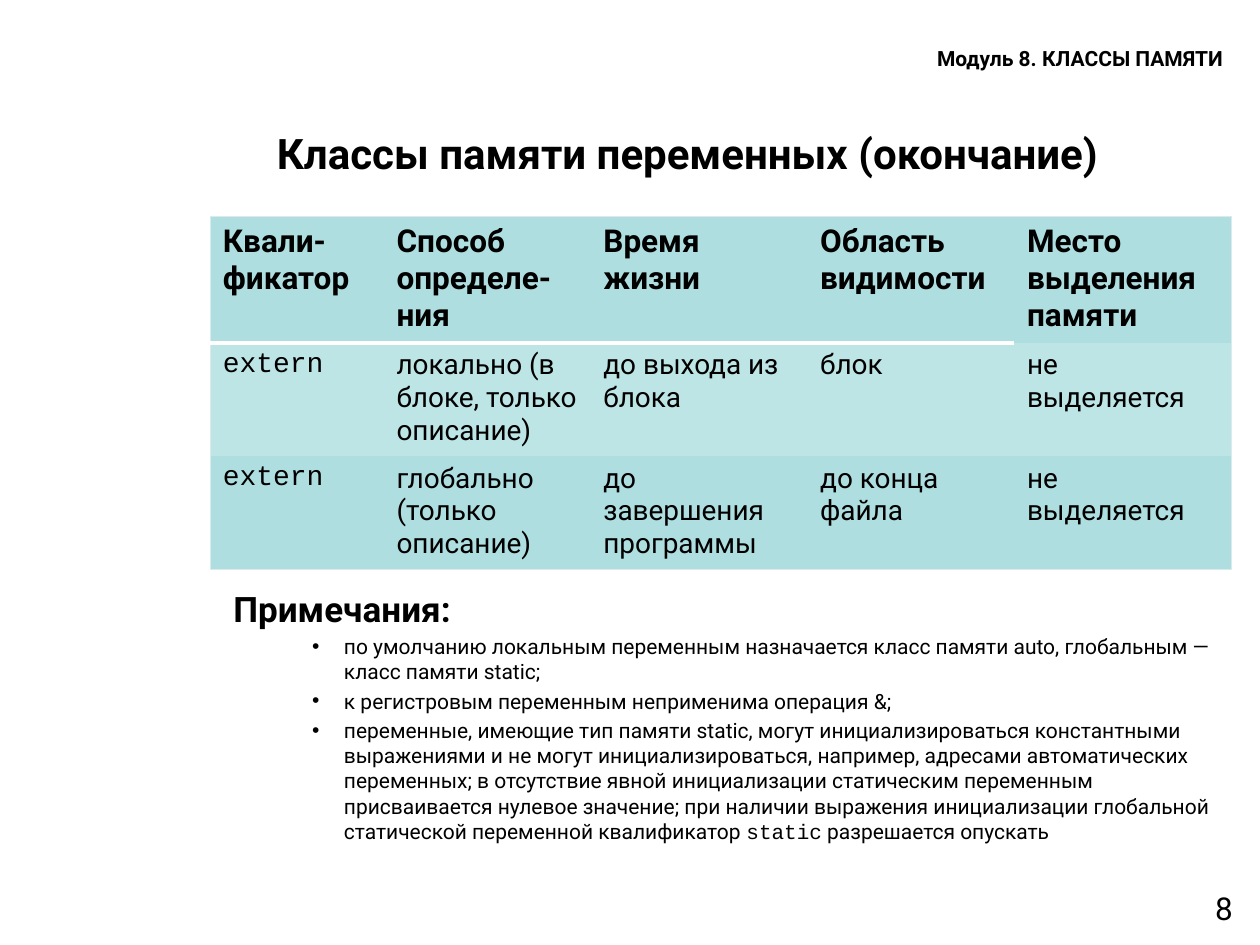
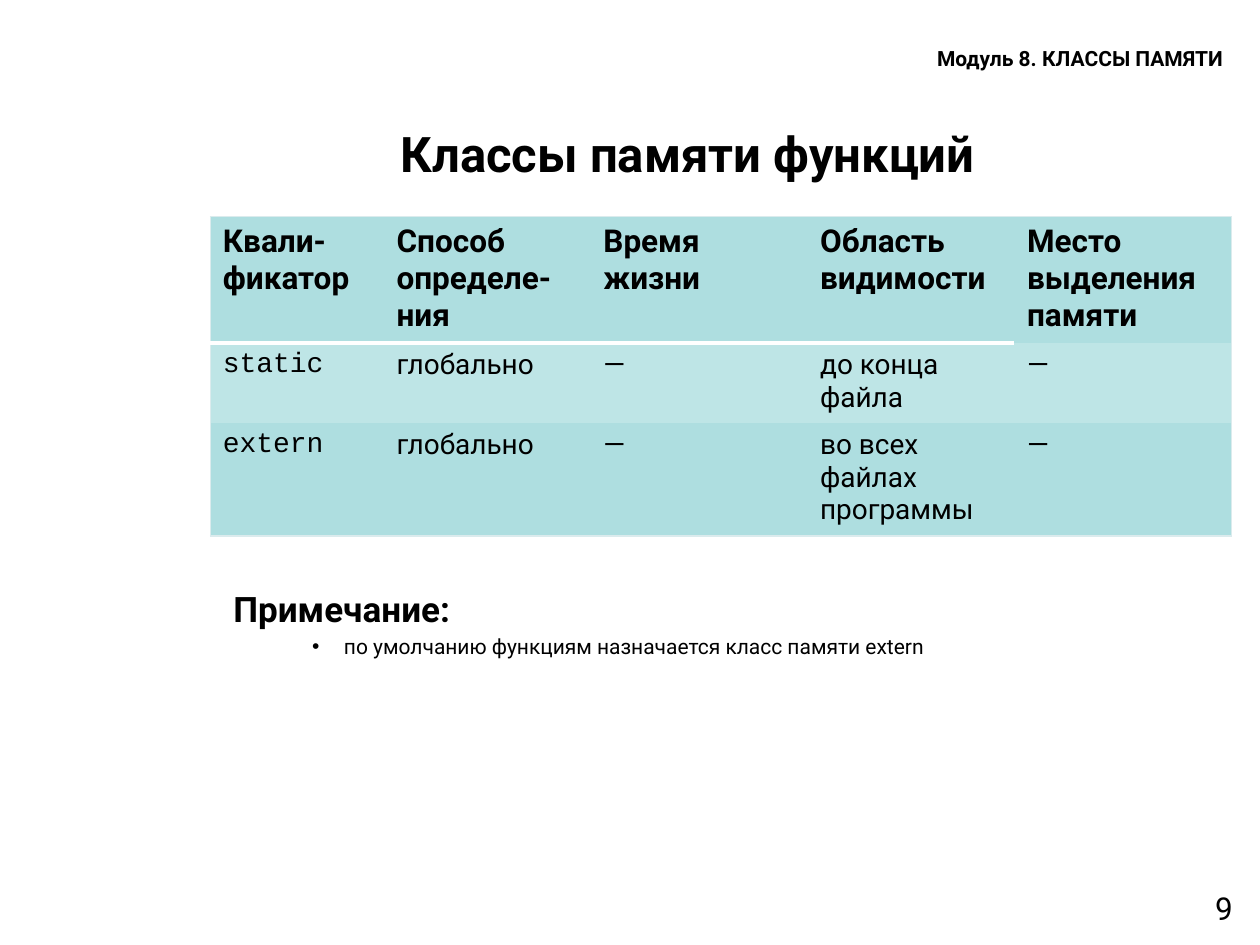
"""Builds two slides about storage classes of variables and functions."""
from lxml import etree
from pptx import Presentation
from pptx.dml.color import RGBColor
from pptx.enum.text import MSO_ANCHOR, MSO_AUTO_SIZE, PP_ALIGN
from pptx.oxml.ns import qn
from pptx.util import Cm, Pt

MIDDLE = MSO_ANCHOR.MIDDLE
NO_FIT = MSO_AUTO_SIZE.NONE
LEFT, CENTER, RIGHT = PP_ALIGN.LEFT, PP_ALIGN.CENTER, PP_ALIGN.RIGHT

FONT, CODE_FONT = "Roboto", "Courier New"
BLACK, WHITE, EDGE = "000000", "FFFFFF", "DBEBED"
TEAL, LIGHT_TEAL = "AEDEE0", "BEE5E6"
NO_STYLE = "{2D5ABB26-0587-4C30-8999-92F81FD0307C}"
KEYWORDS = ("extern", "static")
MODULE = "Модуль 8. КЛАССЫ ПАМЯТИ"
HEADER = ["Квали-фикатор", "Способ определе-ния", "Время жизни",
          "Область видимости", "Место выделения памяти"]
COLUMN_WIDTHS = [3.5, 4.17, 4.37, 4.17, 4.37]

SLIDES = [
    {
        "number": "8",
        "title": "Классы памяти переменных (окончание)",
        "title_size": 24,
        "rows": [
            ["extern", "локально (в блоке, только описание)",
             "до выхода из блока", "блок", "не выделяется"],
            ["extern", "глобально (только описание)",
             "до завершения программы", "до конца файла", "не выделяется"],
        ],
        "heights": [2.49, 2.22, 2.22],
        "heading": "Примечания:",
        "notes": [
            ["по умолчанию локальным переменным назначается класс памяти auto, "
             "глобальным — класс памяти static;"],
            ["к регистровым переменным неприменима операция &;"],
            ["переменные, имеющие тип памяти static, могут инициализироваться "
             "константными выражениями и не могут инициализироваться, например, "
             "адресами автоматических переменных; в отсутствие явной "
             "инициализации статическим переменным присваивается нулевое "
             "значение; при наличии выражения инициализации глобальной "
             "статической переменной квалификатор ",
             "static", " разрешается опускать"],
        ],
    },
    {
        "number": "9",
        "title": "Классы памяти функций",
        "title_size": 28,
        "rows": [
            ["static", "глобально", "—", "до конца файла", "—"],
            ["extern", "глобально", "—", "во всех файлах программы", "—"],
        ],
        "heights": [2.49, 1.57, 2.22],
        "heading": "Примечание:",
        "notes": [["по умолчанию функциям назначается класс памяти extern"]],
    },
]


def color(value):
    return RGBColor.from_string(value)


def format_paragraph(p, size, bold=False, align=LEFT):
    p.alignment = align
    for r in p.runs:
        r.font.size = Pt(size)
        r.font.bold = bold
        r.font.name = CODE_FONT if r.text in KEYWORDS else FONT
        r.font.color.rgb = color(BLACK)


prs = Presentation()
prs.slide_width, prs.slide_height = Cm(25.4), Cm(19.05)

for data in SLIDES:
    s = prs.slides.add_slide(prs.slide_layouts[1])

    number = s.shapes.add_textbox(Cm(19.18), Cm(17.8), Cm(5.92), Cm(1.32))
    module = s.shapes.add_textbox(Cm(18.64), Cm(0.79), Cm(6.76), Cm(0.76))
    labels = [(number, data["number"], 18, False, RIGHT),
              (module, MODULE, 12, True, LEFT)]
    for sp, text, size, bold, align in labels:
        tf = sp.text_frame
        tf.word_wrap = True
        tf.text = text
        format_paragraph(tf.paragraphs[0], size, bold, align)

    title = s.shapes.title
    title.left, title.top, title.width, title.height = Cm(3.38), Cm(2.34), Cm(20.96), Cm(1.47)
    tf = title.text_frame
    tf.text = data["title"]
    tf.auto_size = NO_FIT
    tf.vertical_anchor = MIDDLE
    format_paragraph(tf.paragraphs[0], data["title_size"], True, CENTER)

    body = s.placeholders[1]
    body.left, body.top, body.width, body.height = Cm(3.5), Cm(11.71), Cm(21.9), Cm(5.59)
    tf = body.text_frame
    tf.text = data["heading"]
    tf.auto_size = NO_FIT
    p = tf.paragraphs[0]
    format_paragraph(p, 20, True)
    pPr = p._p.get_or_add_pPr()
    pPr.set("marL", str(Cm(0.95)))
    pPr.set("indent", "0")
    etree.SubElement(pPr, qn("a:buNone"))
    for note in data["notes"]:
        p = tf.add_paragraph()
        p.level = 2
        for text in note:
            p.add_run().text = text
        format_paragraph(p, 12)
        pPr = p._p.get_or_add_pPr()
        pPr.set("marL", str(Cm(3.18)))
        pPr.set("indent", str(Cm(-0.64)))

    rows = [HEADER] + data["rows"]
    last_row, last_col = len(rows) - 1, len(HEADER) - 1
    frame = s.shapes.add_table(len(rows), len(HEADER), Cm(4.24), Cm(4.37),
                               Cm(sum(COLUMN_WIDTHS)), Cm(sum(data["heights"])))
    table = frame.table
    table.first_row = table.horz_banding = False
    table._tbl.tblPr.find(qn("a:tableStyleId")).text = NO_STYLE
    for column, width in zip(table.columns, COLUMN_WIDTHS):
        column.width = Cm(width)
    for row, height in zip(table.rows, data["heights"]):
        row.height = Cm(height)
    for i, row in enumerate(rows):
        for j, text in enumerate(row):
            cell = table.cell(i, j)
            cell.text_frame.text = text
            format_paragraph(cell.text_frame.paragraphs[0], 16 if i else 18, i == 0)
            borders = [("a:lnL", j == 0, EDGE, 0.75),
                       ("a:lnR", j == last_col, EDGE, 0.75),
                       ("a:lnT", i == 0, EDGE, 0.75),
                       ("a:lnB", i == last_row, EDGE, 0.75),
                       ("a:lnB", i == 0 and j < last_col, WHITE, 3)]
            tcPr = cell._tc.get_or_add_tcPr()
            for tag, shown, line_color, width in borders:
                if shown:
                    ln = etree.SubElement(tcPr, qn(tag), w=str(Pt(width)))
                    fill = etree.SubElement(ln, qn("a:solidFill"))
                    etree.SubElement(fill, qn("a:srgbClr"), val=line_color)
            cell.fill.solid()
            cell.fill.fore_color.rgb = color(LIGHT_TEAL if i == 1 else TEAL)

prs.save("out.pptx")
